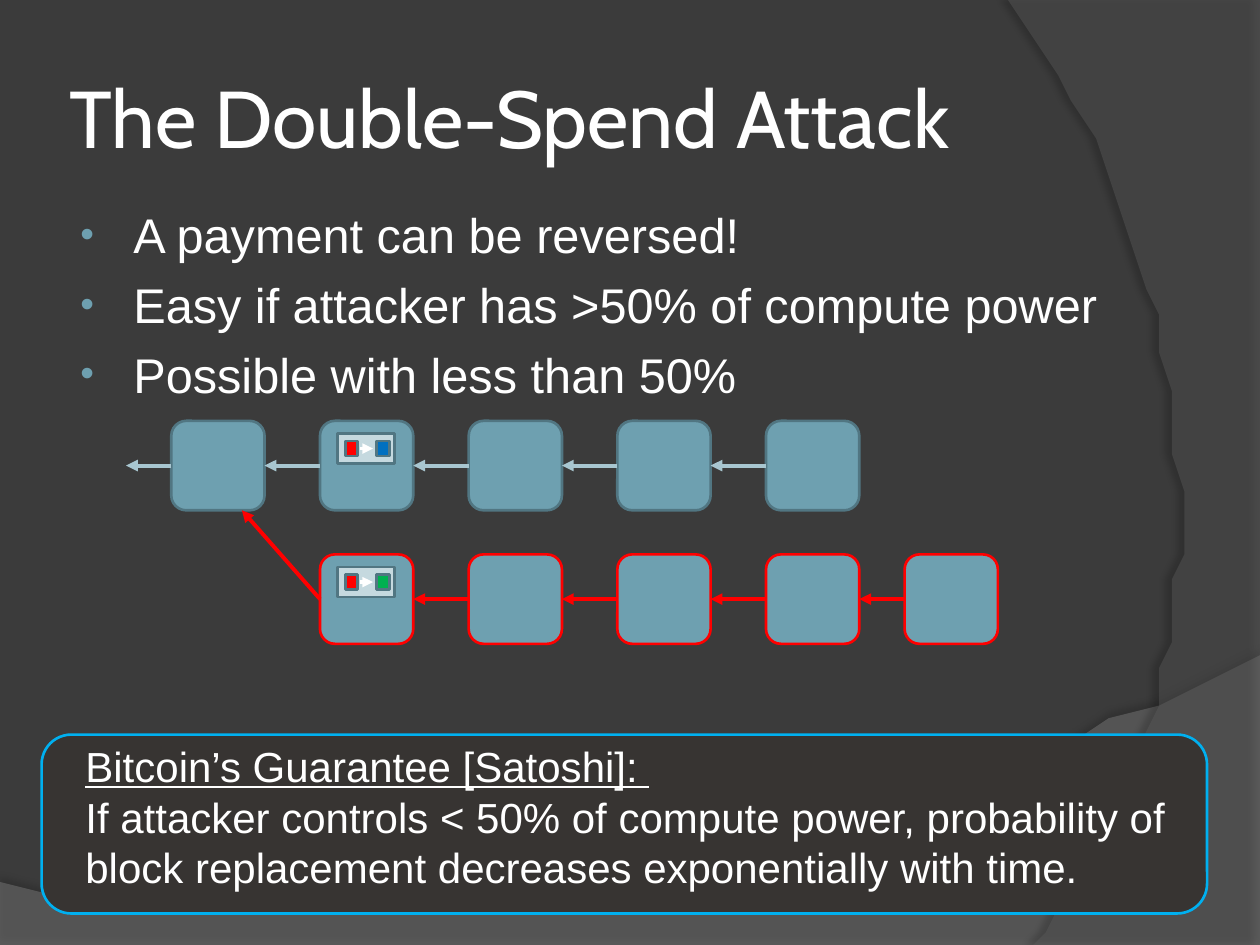
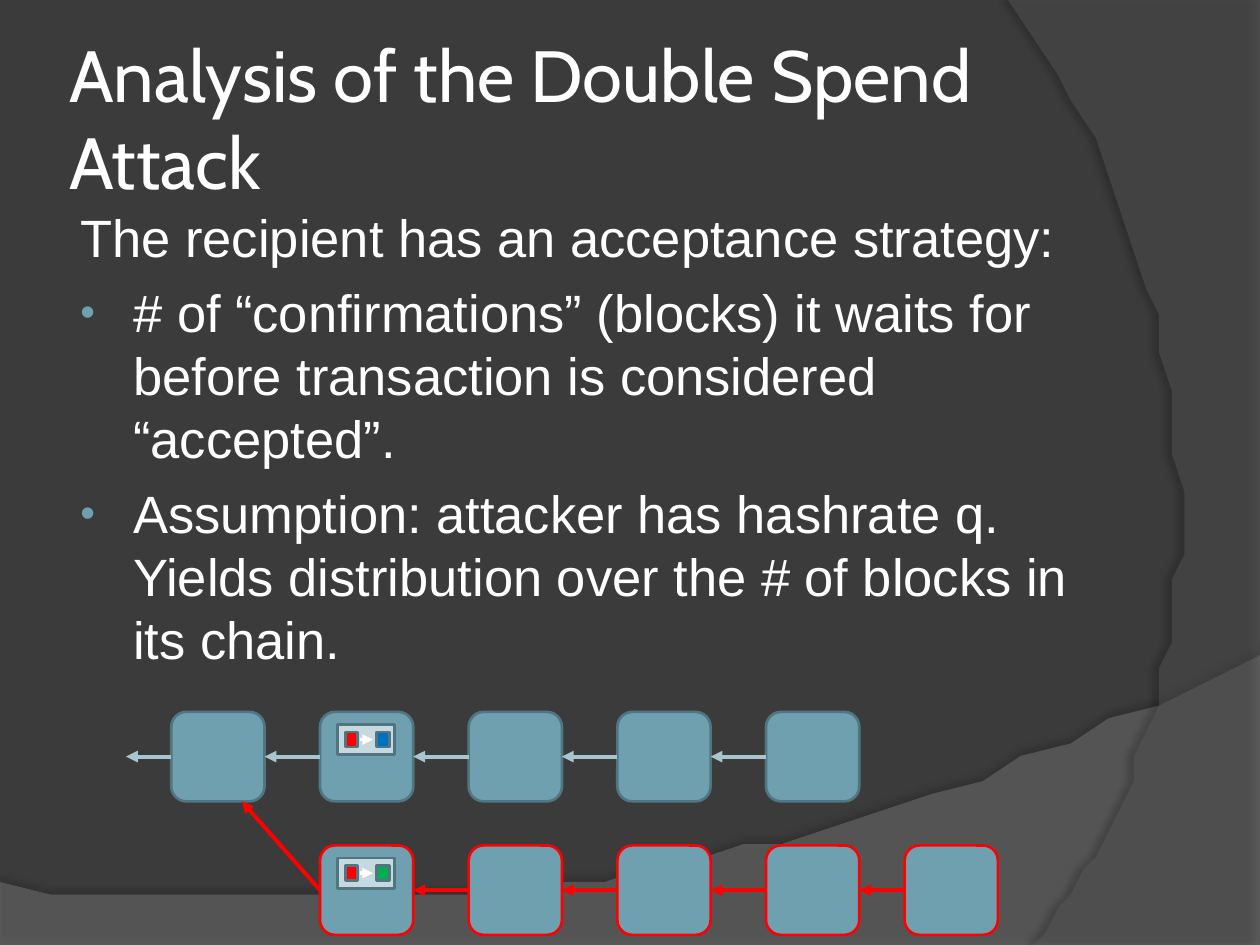
import lxml.etree
import pptx
import pptx.dml.color
import pptx.enum.dml
import pptx.enum.shapes
import pptx.enum.text
import pptx.oxml
import pptx.oxml.ns
import pptx.util

COLORS = {
    "background": "3B3B3B", "swoosh": "7F7F7F", "arc": "5E5E5E",
    "text": "FFFFFF", "block": "6EA0B0", "block_line": "517682",
    "link": "A8C6D0", "attack": "FF0000", "transaction": "C5D9DF",
    "payer": "FF0000", "payee": "0070C0", "attacker": "00B050",
    "panel": "373432", "panel_line": "00B0F0",
}
TITLE_FONT, BODY_FONT = "Cabin", "Arial"
COLS, ROWS = 100, 75
UNIT = pptx.util.Inches(10) // COLS
BLOCK_W, BLOCK_H, PITCH_X, PITCH_Y = 7.4, 7.1, 11.8, 10.6
SHAPES = pptx.enum.shapes.MSO_SHAPE


def grid(*values):
    """Turn grid units into slide lengths."""
    return [pptx.util.Emu(round(v * UNIT)) for v in values]


def rgb(name):
    """Look up a named colour."""
    return pptx.dml.color.RGBColor.from_string(COLORS[name])


def add_xml(parent, xml):
    """Append a DrawingML fragment to an element."""
    ns = pptx.oxml.ns.nsdecls("a")
    tag, rest = xml[:xml.index(">")], xml[xml.index(">"):]
    if tag.endswith("/"):
        tag, rest = tag[:-1], "/" + rest
    parent.append(pptx.oxml.parse_xml(f"{tag} {ns}{rest}"))


def write(tf, text, size, font=BODY_FONT, underline=False, bullet=False,
          indent=0, before=0):
    """Write one formatted paragraph into a text frame."""
    p = tf.paragraphs[0] if not tf.paragraphs[0].runs else tf.add_paragraph()
    p.alignment = pptx.enum.text.PP_ALIGN.LEFT
    p.space_before = pptx.util.Pt(before)
    r = p.add_run()
    r.text = text
    r.font.name, r.font.size = font, pptx.util.Pt(size)
    r.font.underline = underline
    r.font.color.rgb = rgb("text")
    pPr = p._p.get_or_add_pPr()
    hang = 4.2 if bullet else 0
    left, first = grid(indent + hang, -hang)
    pPr.set("marL", str(left))
    pPr.set("indent", str(first))
    if bullet:
        add_xml(pPr, f'<a:buClr><a:srgbClr val="{COLORS["block"]}"/></a:buClr>')
        add_xml(pPr, '<a:buSzPct val="80000"/>')
        add_xml(pPr, '<a:buFont typeface="Arial"/>')
        add_xml(pPr, '<a:buChar char="•"/>')


def add_textbox(s, box):
    """Add an empty wrapping text box."""
    tf = s.shapes.add_textbox(*grid(*box)).text_frame
    tf.word_wrap = True
    return tf


def add_box(s, kind, box, fill, line):
    """Add a filled and outlined preset shape."""
    sp = s.shapes.add_shape(kind, *grid(*box))
    sp.shadow.inherit = False
    sp.fill.solid()
    sp.fill.fore_color.rgb = rgb(fill)
    sp.line.color.rgb = rgb(line)
    sp.line.width = pptx.util.Pt(1.5)


def add_arrow(s, start, end, color, width=2.25):
    """Add a straight arrow between two grid points."""
    cn = s.shapes.add_connector(pptx.enum.shapes.MSO_CONNECTOR.STRAIGHT,
                                *grid(*start, *end))
    cn.line.color.rgb = rgb(color)
    cn.line.width = pptx.util.Pt(width)
    add_xml(cn.line._get_or_add_ln(), '<a:tailEnd type="triangle"/>')
    add_xml(cn._element.spPr, "<a:effectLst/>")


def bezier(a, b, c, d, steps=32):
    """Sample a cubic curve, leaving out its start."""
    ts = [i / steps for i in range(1, steps + 1)]
    return [tuple((1 - t) ** 3 * a[k] + 3 * (1 - t) ** 2 * t * b[k]
                  + 3 * (1 - t) * t * t * c[k] + t ** 3 * d[k]
                  for k in (0, 1)) for t in ts]


def add_backdrop(layout, s, points, color, alpha, shade, direction, dist):
    """Draw a translucent curved sheet and hand it to the layout."""
    fb = s.shapes.build_freeform(*points[0], scale=UNIT)
    fb.add_line_segments(points[1:], close=True)
    sp = fb.convert_to_shape()
    sp.fill.solid()
    sp.fill.fore_color.rgb = rgb(color)
    sp.line.fill.background()
    spPr = sp._element.spPr
    clr = spPr.find(".//" + pptx.oxml.ns.qn("a:srgbClr"))
    add_xml(clr, f'<a:alpha val="{alpha * 1000}"/>')
    blur, offset = pptx.util.Pt(4), pptx.util.Pt(dist)
    add_xml(spPr, f'<a:effectLst><a:outerShdw blurRad="{blur}" dist="{offset}" '
                  f'dir="{direction * 60000}" algn="ctr" rotWithShape="0">'
                  f'<a:srgbClr val="000000"><a:alpha val="{shade * 1000}"/>'
                  '</a:srgbClr></a:outerShdw></a:effectLst>')
    layout.shapes._spTree.append(sp._element)


def build_theme(prs, layout, s):
    """Set the background that all slides share."""
    fill = prs.slide_master.background.fill
    fill.solid()
    fill.fore_color.rgb = rgb("background")
    swoosh = [(0, 70.5), (0, ROWS), (COLS, ROWS), (COLS, 52)]
    swoosh += bezier(swoosh[-1], (55.9, 72.9), (39.1, 71.9), swoosh[0])
    arc = [(COLS, 0.2), (COLS, ROWS), (82.1, ROWS)]
    arc += bezier(arc[-1], (93.5, 61.9), (101.8, 30), (80, 0))
    add_backdrop(layout, s, swoosh, "swoosh", 45, 35, 270, 3.5)
    add_backdrop(layout, s, arc, "arc", 40, 45, 180, 4)


def add_title(s, text, size):
    """Place and format the title placeholder."""
    sp = s.shapes.title
    sp.left, sp.top, sp.width, sp.height = grid(5, 3, 81.7, 12.5)
    tf = sp.text_frame
    tf.word_wrap = True
    tf.auto_size = pptx.enum.text.MSO_AUTO_SIZE.NONE
    tf.vertical_anchor = pptx.enum.text.MSO_ANCHOR.MIDDLE
    tf.margin_left, tf.margin_top, tf.margin_right, tf.margin_bottom = grid(*[0.5] * 4)
    write(tf, text, size, font=TITLE_FONT)


def add_body(s, box, size, bullets, lead=None):
    """Add a bullet list with an optional lead line."""
    tf = add_textbox(s, box)
    before = size * 0.23
    if lead:
        write(tf, lead, size, indent=0.4, before=before)
    for text in bullets:
        write(tf, text, size, bullet=True, indent=0.4, before=before)


def add_transaction(s, x, y, payee):
    """Draw a payment from one coin to another inside a block."""
    add_box(s, SHAPES.RECTANGLE, (x + 1.4, y + 1, 4.5, 2.4), "transaction", "block_line")
    for dx, coin in ((2, "payer"), (4.5, payee)):
        add_box(s, SHAPES.RECTANGLE, (x + dx, y + 1.6, 1, 1.2), coin, "block_line")
    add_arrow(s, (x + 3.2, y + 2.2), (x + 4.2, y + 2.2), "text", 2)


def add_chain(s, xs, y, line, link):
    """Draw a row of blocks, each pointing back to the one before."""
    for x in xs:
        add_box(s, SHAPES.ROUNDED_RECTANGLE, (x, y, BLOCK_W, BLOCK_H), "block", line)
    mid = y + BLOCK_H / 2
    for previous, x in zip(xs, xs[1:]):
        add_arrow(s, (x, mid), (previous + BLOCK_W, mid), link)


def add_fork(s, left, top):
    """Draw the honest chain and the attacker's fork below it."""
    honest = [left + PITCH_X * i for i in range(5)]
    fork = honest[1:] + [honest[-1] + 11]
    low = top + PITCH_Y
    add_chain(s, honest, top, "block_line", "link")
    add_arrow(s, (left, top + BLOCK_H / 2), (left - 3.6, top + BLOCK_H / 2), "link")
    add_chain(s, fork, low, "attack", "attack")
    add_arrow(s, (fork[0], low + BLOCK_H / 2), (left + 5.6, top + BLOCK_H), "attack")
    add_transaction(s, honest[1], top, "payee")
    add_transaction(s, fork[0], low, "attacker")


def add_guarantee(s, left, top, width, height):
    """Add the framed guarantee statement."""
    add_box(s, SHAPES.ROUNDED_RECTANGLE, (left, top, width, height), "panel", "panel_line")
    tf = add_textbox(s, (left + 2.5, top, width - 0.5, height - 1.1))
    write(tf, "Bitcoin’s Guarantee [Satoshi]: ", 24, underline=True)
    write(tf, "If attacker controls < 50% of compute power, probability of "
              "block replacement decreases exponentially with time.", 24)


def build_attack(s):
    """Fill the slide that presents the attack."""
    add_title(s, "The Double-Spend Attack", 46)
    add_body(s, (5, 15.8, 90, 15.8), 27.8, [
        "A payment can be reversed!",
        "Easy if attacker has >50% of compute power",
        "Possible with less than 50%"])
    add_fork(s, 13.6, 33.4)
    add_guarantee(s, 3.3, 58.3, 92.5, 14.2)


def build_analysis(s):
    """Fill the slide that analyses the attack."""
    add_title(s, "Analysis of the Double Spend Attack", 41.4)
    add_body(s, (5, 15.8, 81.7, 51.2), 30, [
        "# of “confirmations” (blocks) it waits for before transaction is "
        "considered “accepted”.",
        "Assumption: attacker has hashrate q. Yields distribution over the "
        "# of blocks in its chain."],
        lead="The recipient has an acceptance strategy:")
    add_fork(s, 13.6, 56.5)


def main():
    """Build and save the presentation."""
    prs = pptx.Presentation()
    prs.slide_width, prs.slide_height = grid(COLS, ROWS)
    layout = prs.slide_layouts[5]
    slides = [prs.slides.add_slide(layout) for _ in range(2)]
    build_theme(prs, layout, slides[0])
    for build, s in zip((build_attack, build_analysis), slides):
        build(s)
    prs.save("out.pptx")


if __name__ == "__main__":
    main()
